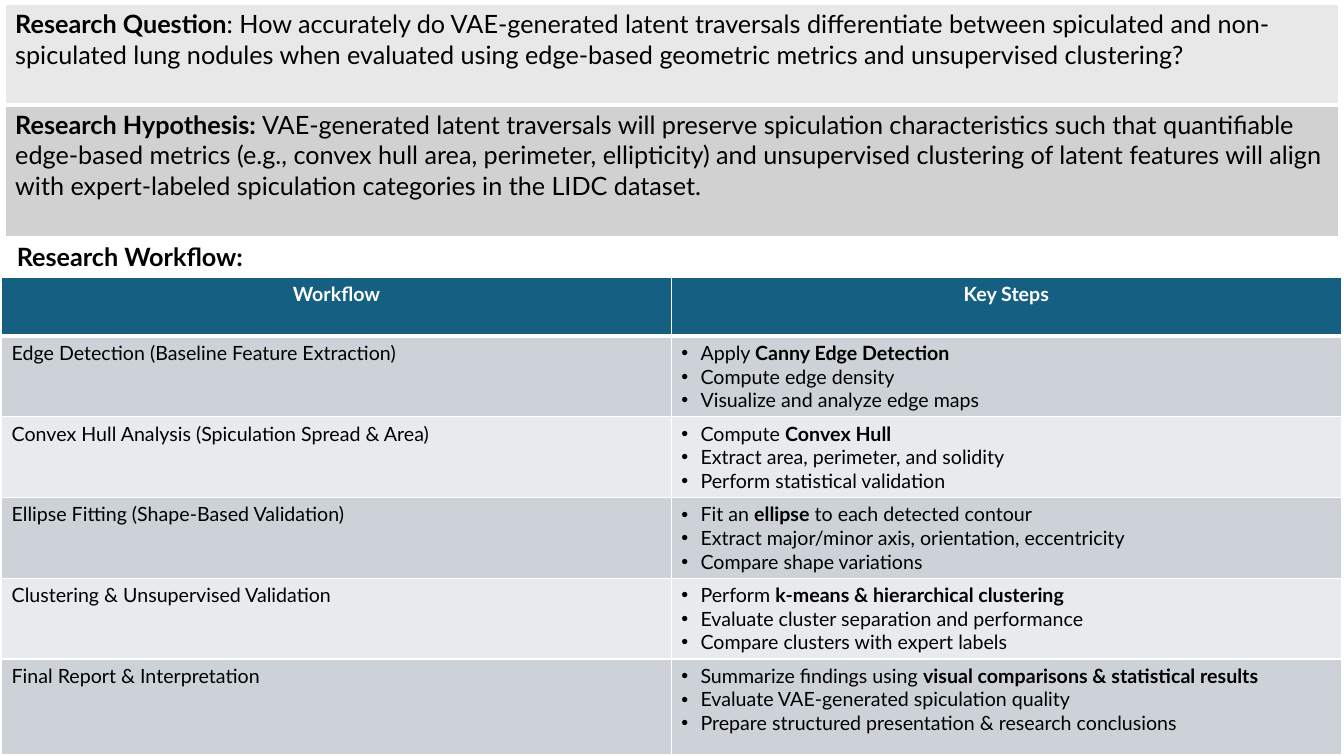
from lxml.etree import SubElement
from pptx import Presentation
from pptx.dml.color import RGBColor
from pptx.enum.text import MSO_ANCHOR, MSO_AUTO_SIZE, PP_ALIGN
from pptx.oxml import parse_xml
from pptx.oxml.ns import nsdecls, qn
from pptx.util import Cm, Pt

# Text between double asterisks is bold.
STATEMENTS = [
    "**Research Question**: How accurately do VAE-generated latent traversals differentiate "
    "between spiculated and non-spiculated lung nodules when evaluated using edge-based "
    "geometric metrics and unsupervised clustering?",
    "**Research Hypothesis: **VAE-generated latent traversals will preserve spiculation "
    "characteristics such that quantifiable edge-based metrics (e.g., convex hull area, "
    "perimeter, ellipticity) and unsupervised clustering of latent features will align with "
    "expert-labeled spiculation categories in the LIDC dataset.",
]
HEADING = "**Research Workflow:**"
HEADERS = ["**Workflow**", "**Key Steps**"]
WORKFLOW = [
    ("Edge Detection (Baseline Feature Extraction)",
     ["Apply **Canny Edge Detection**",
      "Compute edge density",
      "Visualize and analyze edge maps"]),
    ("Convex Hull Analysis (Spiculation Spread & Area)",
     ["Compute **Convex Hull**",
      "Extract area, perimeter, and solidity",
      "Perform statistical validation"]),
    ("Ellipse Fitting (Shape-Based Validation)",
     ["Fit an **ellipse** to each detected contour",
      "Extract major/minor axis, orientation, eccentricity",
      "Compare shape variations"]),
    ("Clustering & Unsupervised Validation",
     ["Perform **k-means & hierarchical clustering**",
      "Evaluate cluster separation and performance",
      "Compare clusters with expert labels"]),
    ("Final Report & Interpretation",
     ["Summarize findings using **visual comparisons & statistical results**",
      "Evaluate VAE-generated spiculation quality",
      "Prepare structured presentation & research conclusions"]),
]
COLORS = {
    "text": "000000", "border": "FFFFFF", "header": "156082", "header_text": "FFFFFF",
    "question": "E8E8E8", "hypothesis": "D1D1D1", "band_dark": "CCD2D8", "band_light": "E8EAED",
}
FONT = "Lato"
STATEMENT_SIZE, WORKFLOW_SIZE = Pt(18), Pt(14)
STATEMENT_HEIGHTS = [Cm(2.54), Cm(3.32)]
WORKFLOW_HEIGHTS = [Cm(1.48)] + [Cm(2.03)] * 4 + [Cm(2.42)]
BULLET_INDENT = Cm(0.48)


def add_runs(paragraph, marked, size, color="text"):
    for position, part in enumerate(marked.split("**")):
        if part:
            run = paragraph.add_run()
            run.text = part
            run.font.name = FONT
            run.font.size = size
            run.font.bold = position % 2 == 1
            run.font.color.rgb = RGBColor.from_string(COLORS[color])


def add_bullet(paragraph):
    properties = paragraph._p.get_or_add_pPr()
    properties.set("marL", str(BULLET_INDENT))
    properties.set("indent", str(-BULLET_INDENT))
    SubElement(properties, qn("a:buFont")).set("typeface", "Arial")
    SubElement(properties, qn("a:buChar")).set("char", "•")


def style_cell(cell, color, row):
    """Fill the cell and draw its borders, with a thick line below the first row."""
    cell.fill.solid()
    cell.fill.fore_color.rgb = RGBColor.from_string(COLORS[color])
    widths = {"L": 1, "R": 1, "T": 3 if row == 1 else 1, "B": 3 if row == 0 else 1}
    for position, (side, width) in enumerate(widths.items()):
        border = parse_xml(
            f'<a:ln{side} {nsdecls("a")} w="{Pt(width)}"><a:solidFill>'
            f'<a:srgbClr val="{COLORS["border"]}"/></a:solidFill></a:ln{side}>')
        cell._tc.get_or_add_tcPr().insert(position, border)


def add_grid(slide, left, top, column_widths, row_heights):
    table = slide.shapes.add_table(len(row_heights), len(column_widths), left, top,
                                   sum(column_widths), sum(row_heights)).table
    for column, width in zip(table.columns, column_widths):
        column.width = width
    for row, height in zip(table.rows, row_heights):
        row.height = height
    return table


def add_statements(slide):
    table = add_grid(slide, Cm(0.13), Cm(0.1), [Cm(33.6)], STATEMENT_HEIGHTS)
    for row, (statement, color) in enumerate(zip(STATEMENTS, ["question", "hypothesis"])):
        cell = table.cell(row, 0)
        style_cell(cell, color, row)
        add_runs(cell.text_frame.paragraphs[0], statement, STATEMENT_SIZE)


def add_heading(slide):
    heading = slide.shapes.title
    heading.left, heading.top, heading.width, heading.height = Cm(0.17), Cm(5.95), Cm(7.92), Cm(1.03)
    frame = heading.text_frame
    frame.word_wrap = True
    frame.auto_size = MSO_AUTO_SIZE.NONE
    frame.vertical_anchor = MSO_ANCHOR.TOP
    paragraph = frame.paragraphs[0]
    paragraph.alignment = PP_ALIGN.LEFT
    paragraph.line_spacing = 1.0
    paragraph.space_before = Pt(0)
    add_runs(paragraph, HEADING, STATEMENT_SIZE)


def add_workflow(slide):
    table = add_grid(slide, Cm(0.04), Cm(6.99), [Cm(16.88)] * 2, WORKFLOW_HEIGHTS)
    for column, header in enumerate(HEADERS):
        cell = table.cell(0, column)
        style_cell(cell, "header", 0)
        paragraph = cell.text_frame.paragraphs[0]
        paragraph.alignment = PP_ALIGN.CENTER
        add_runs(paragraph, header, WORKFLOW_SIZE, "header_text")
    for row, (stage, steps) in enumerate(WORKFLOW, start=1):
        stage_cell, steps_cell = table.cell(row, 0), table.cell(row, 1)
        for cell in (stage_cell, steps_cell):
            style_cell(cell, "band_dark" if row % 2 else "band_light", row)
        add_runs(stage_cell.text_frame.paragraphs[0], stage, WORKFLOW_SIZE)
        frame = steps_cell.text_frame
        for position, step in enumerate(steps):
            paragraph = frame.add_paragraph() if position else frame.paragraphs[0]
            add_bullet(paragraph)
            add_runs(paragraph, step, WORKFLOW_SIZE)


def main():
    deck = Presentation()
    deck.slide_width, deck.slide_height = Cm(33.87), Cm(19.05)
    slide = deck.slides.add_slide(deck.slide_layouts.get_by_name("Title Only"))
    add_statements(slide)
    add_heading(slide)
    add_workflow(slide)
    deck.save("out.pptx")


if __name__ == "__main__":
    main()
